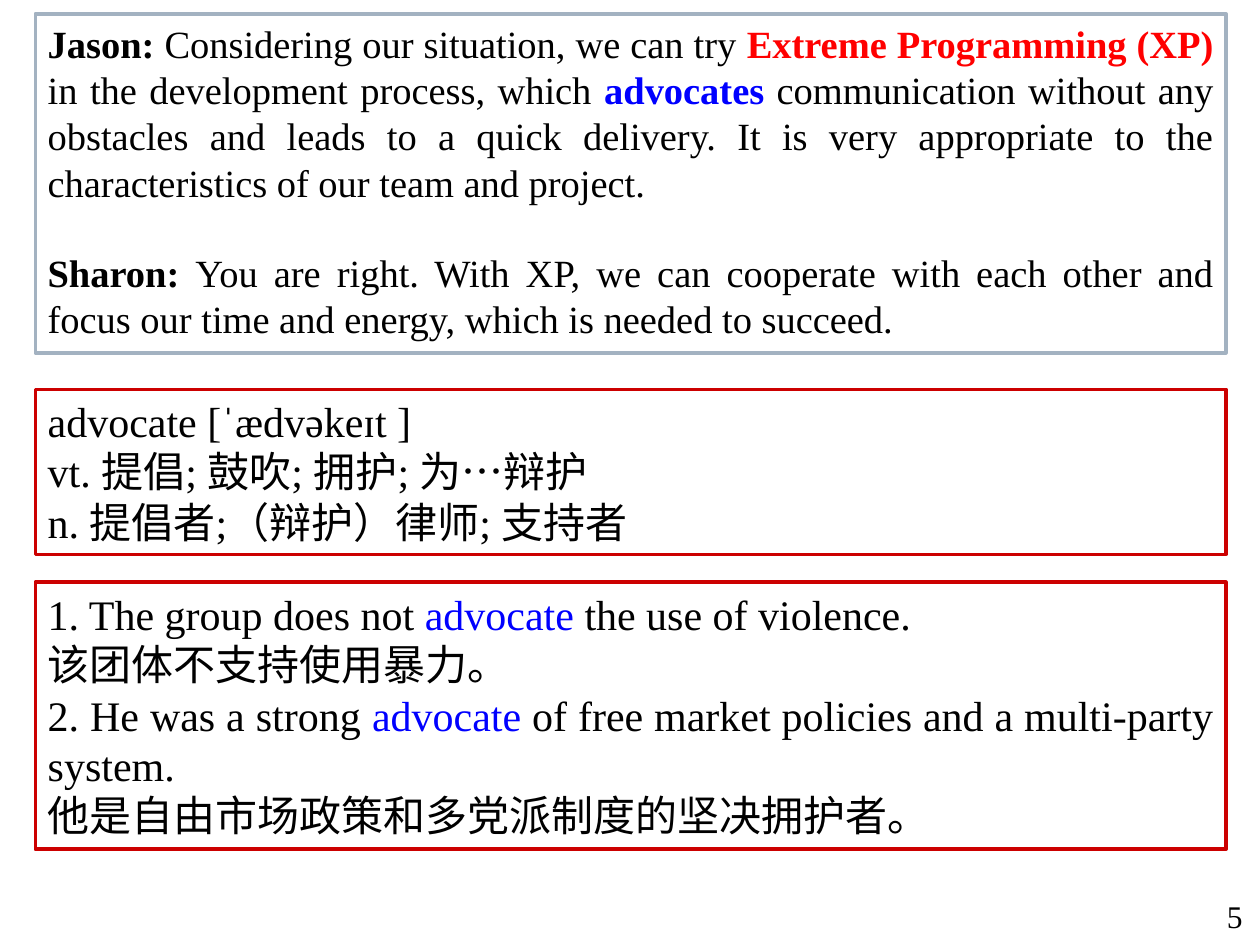
from dataclasses import dataclass

from pptx import Presentation
from pptx.dml.color import RGBColor
from pptx.enum.shapes import MSO_SHAPE
from pptx.enum.text import MSO_ANCHOR, MSO_AUTO_SIZE, PP_ALIGN
from pptx.util import Inches, Pt


@dataclass(frozen=True)
class Theme:
    """Colours, font and type sizes of the slide."""
    font: str = "Times New Roman"
    text: str = "000000"
    term: str = "FF0000"
    word: str = "0000FF"
    paper: str = "FFFFFF"
    dialogue_line: str = "A3B2C1"
    entry_line: str = "CC0000"
    dialogue_size: int = 22
    entry_size: int = 24
    number_size: int = 18
    line_width: int = 2


THEME = Theme()
LEFT, WIDTH = 0.28, 9.45

DIALOGUE = [
    [("Jason: ", THEME.text, True),
     ("Considering our situation, we can try ", THEME.text, False),
     ("Extreme Programming (XP) ", THEME.term, True),
     ("in the development process, which ", THEME.text, False),
     ("advocates", THEME.word, True),
     (" communication without any obstacles and leads to a quick delivery. "
      "It is very appropriate to the characteristics of our team and project.",
      THEME.text, False)],
    [("Sharon: ", THEME.text, True),
     ("You are right. With XP, we can cooperate with each other and focus our "
      "time and energy, which is needed to succeed.", THEME.text, False)],
]
DEFINITION = [
    [("advocate [ˈædvəkeɪt ]", THEME.text, False)],
    [("vt. 提倡; 鼓吹; 拥护; 为…辩护", THEME.text, False)],
    [("n. 提倡者;（辩护）律师; 支持者", THEME.text, False)],
]
EXAMPLES = [
    [("1. The group does not ", THEME.text, False),
     ("advocate", THEME.word, False),
     (" the use of violence.", THEME.text, False)],
    [("该团体不支持使用暴力。", THEME.text, False)],
    [("2. He was a strong ", THEME.text, False),
     ("advocate", THEME.word, False),
     (" of free market policies and a multi-party system.", THEME.text, False)],
    [("他是自由市场政策和多党派制度的坚决拥护者。", THEME.text, False)],
]


def write_paragraphs(tf, paragraphs, size, align, gap=0):
    """Fill a text frame run by run, with a gap in points between paragraphs."""
    tf.word_wrap = True
    for i, runs in enumerate(paragraphs):
        p = tf.paragraphs[0] if i == 0 else tf.add_paragraph()
        p.alignment = align
        p.space_before = Pt(gap if i else 0)
        for text, color, bold in runs:
            r = p.add_run()
            r.text = text
            r.font.name = THEME.font
            r.font.size = Pt(size)
            r.font.bold = bold
            r.font.color.rgb = RGBColor.from_string(color)


def add_panel(s, box, line, paragraphs, size, align, gap=0):
    """Draw a framed panel of text in the given box."""
    sp = s.shapes.add_shape(MSO_SHAPE.RECTANGLE, *map(Inches, box))
    sp.shadow.inherit = False
    sp.fill.solid()
    sp.fill.fore_color.rgb = RGBColor.from_string(THEME.paper)
    sp.line.color.rgb = RGBColor.from_string(line)
    sp.line.width = Pt(THEME.line_width)
    tf = sp.text_frame
    tf.vertical_anchor = MSO_ANCHOR.TOP
    tf.auto_size = MSO_AUTO_SIZE.SHAPE_TO_FIT_TEXT
    write_paragraphs(tf, paragraphs, size, align, gap)


def add_dialogue(s, box):
    """Place the dialogue, its speakers one line apart."""
    add_panel(s, box, THEME.dialogue_line, DIALOGUE, THEME.dialogue_size,
              PP_ALIGN.JUSTIFY, gap=THEME.dialogue_size * 1.15)


def add_definition(s, box):
    """Place the dictionary entry."""
    add_panel(s, box, THEME.entry_line, DEFINITION, THEME.entry_size, PP_ALIGN.LEFT)


def add_examples(s, box):
    """Place the example sentences with their translations."""
    add_panel(s, box, THEME.entry_line, EXAMPLES, THEME.entry_size, PP_ALIGN.JUSTIFY)


def add_page_number(s, box, number):
    """Place the page number at the bottom right of its box."""
    tf = s.shapes.add_textbox(*map(Inches, box)).text_frame
    tf.vertical_anchor = MSO_ANCHOR.BOTTOM
    write_paragraphs(tf, [[(number, THEME.text, False)]], THEME.number_size,
                     PP_ALIGN.RIGHT)


def main():
    """Build and save the slide."""
    prs = Presentation()
    prs.slide_width, prs.slide_height = Inches(10), Inches(7.5)
    s = prs.slides.add_slide(prs.slide_layouts.get_by_name("Blank"))
    add_page_number(s, (9.37, 6.9, 0.59, 0.57), "5")
    add_dialogue(s, (LEFT, 0.11, WIDTH, 2.69))
    add_definition(s, (LEFT, 3.09, WIDTH, 1.31))
    add_examples(s, (LEFT, 4.62, WIDTH, 2.12))
    prs.save("out.pptx")


if __name__ == "__main__":
    main()
